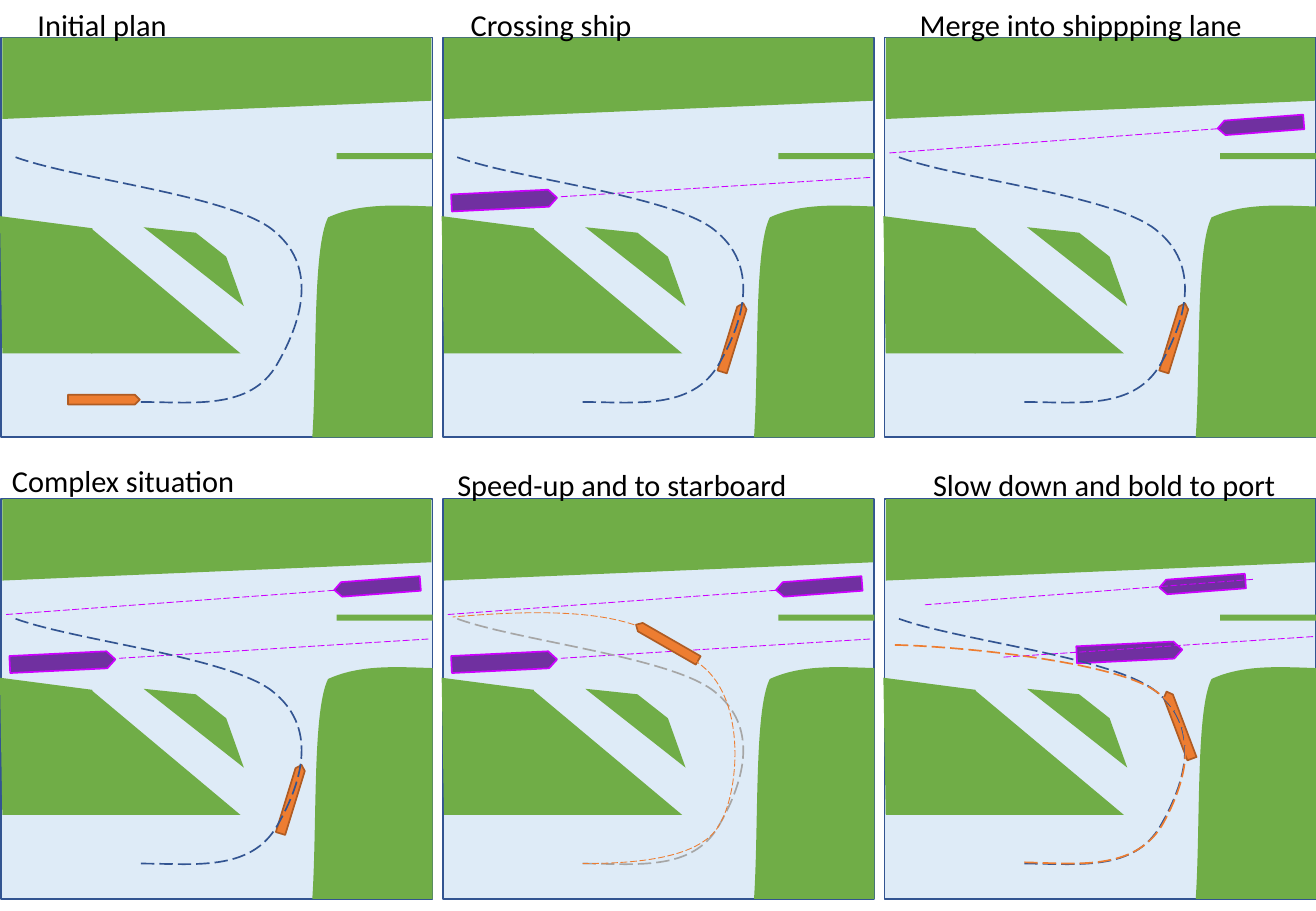
from dataclasses import dataclass

from lxml.etree import SubElement
from pptx import Presentation
from pptx.dml.color import RGBColor
from pptx.enum.dml import MSO_LINE
from pptx.enum.shapes import MSO_CONNECTOR, MSO_SHAPE
from pptx.enum.text import MSO_AUTO_SIZE
from pptx.oxml.ns import qn
from pptx.util import Inches, Pt


@dataclass(frozen=True)
class Theme:
    font: str = "Calibri"
    caption_size: float = 18
    text: str = "000000"
    water: str = "DEEBF7"
    land: str = "70AD47"
    navy: str = "325491"
    faded: str = "A6A6A6"
    own_ship: str = "ED7D31"
    own_edge: str = "AF5C24"
    traffic: str = "7030A0"
    traffic_edge: str = "CC00FF"
    thin: float = 0.5
    normal: float = 1


THEME = Theme()
COLUMN_PITCH = 7.27 / 2
ROW_PITCH = 3.8

WEST_BANK = [(0, 1.78), (0.76, 1.88), (0.76, 2.91), (0.02, 2.91), (0, 1.78)]
NORTH_BANK = [(0.02, 0.31), (3.55, 0.31), (3.55, 0.83), (0.02, 0.98), (0.02, 0.31)]
EAST_BANK = [
    ("moveTo", [(2.7, 1.79)]),
    ("cubicBezTo", [(2.96, 1.67), (3.26, 1.69), (3.56, 1.7)]),
    ("lnTo", [(3.56, 3.6)]),
    ("lnTo", [(2.57, 3.6)]),
    ("cubicBezTo", [(2.61, 2.99), (2.57, 2.05), (2.7, 1.79)]),
    ("close", []),
]
EAST_BANK_BOUNDS = ((2.57, 1.69), (3.56, 3.6))

PLAN = [(1.16, 3.31), (1.59, 3.31), (2.06, 3.38), (2.28, 3), (2.5, 2.62),
        (2.61, 2.18), (2.24, 1.89), (1.87, 1.6), (0.56, 1.47), (0.09, 1.28)]
STARBOARD = [(1.16, 3.31), (1.59, 3.31), (2.12, 3.27), (2.28, 3), (2.45, 2.73),
             (2.51, 1.97), (2.14, 1.68), (1.78, 1.4), (1.55, 1.15), (0.09, 1.28)]
PORT = [(1.16, 3.3), (1.59, 3.31), (2.06, 3.37), (2.29, 3), (2.51, 2.62),
        (2.61, 2.14), (2.24, 1.89), (1.88, 1.64), (0.59, 1.52), (0.09, 1.51)]
PLAN_BOUNDS = ((0.09, 1.28), (2.48, 3.31))

PLANNED = (PLAN, PLAN_BOUNDS, THEME.navy, THEME.normal)
DISCARDED = (PLAN, PLAN_BOUNDS, THEME.faded, THEME.normal)
STARBOARD_TRACK = (STARBOARD, ((0.09, 1.25), (2.41, 3.31)), THEME.own_ship, THEME.thin)
PORT_TRACK = (PORT, ((0.09, 1.51), (2.48, 3.31)), THEME.own_ship, THEME.normal)

EASTBOUND = ((0.08, 1.58, 0.87, 0.14), 357.2, ((0.98, 1.62), (3.54, 1.46)))
WESTBOUND = ((2.75, 0.97, 0.71, 0.12), 175.7, ((2.75, 1.06), (0.04, 1.26)))
EASTBOUND_LATER = ((1.59, 1.5, 0.87, 0.14), 357.2, ((0.99, 1.61), (3.55, 1.44)))
WESTBOUND_LATER = ((2.27, 0.95, 0.71, 0.12), 175.7, ((3.04, 0.97), (0.33, 1.18)))
TURNING = (2.1, 2.74, 287.1)

SCENES = [
    ("Initial plan", (0.21, 0, 3.22), (0.56, 3.25, 0), [], [PLANNED]),
    ("Crossing ship", (0.14, 0, 3.22), TURNING, [EASTBOUND], [PLANNED]),
    ("Merge into shippping lane", (0.2, 0, 3.25), TURNING, [WESTBOUND], [PLANNED]),
    ("Complex situation", (0, -0.04, 3.72), TURNING, [WESTBOUND, EASTBOUND], [PLANNED]),
    ("Speed-up and to starboard", (0.03, -0.01, 3.72), (1.56, 1.45, 209.9),
     [WESTBOUND, EASTBOUND], [DISCARDED, STARBOARD_TRACK]),
    ("Slow down and bold to port", (0.31, -0.01, 3.25), (2.14, 2.13, 249.3),
     [WESTBOUND_LATER, EASTBOUND_LATER], [PLANNED, PORT_TRACK]),
]


class HarbourPage:
    def __init__(self, page, theme):
        self.page = page
        self.theme = theme
        self.left = self.top = 0

    def place(self, x, y):
        return Inches(self.left + x), Inches(self.top + y)

    def stroke(self, line, color, weight, dashed=False):
        line.color.rgb = RGBColor.from_string(color)
        line.width = Pt(weight)
        if dashed:
            line.dash_style = MSO_LINE.LONG_DASH

    def paint(self, shape, fill, edge=None):
        shape.shadow.inherit = False
        shape.fill.solid()
        shape.fill.fore_color.rgb = RGBColor.from_string(fill)
        if edge:
            self.stroke(shape.line, edge, self.theme.normal)
        else:
            shape.line.fill.background()

    def block(self, shapes, kind, area, fill, edge=None, rotation=0):
        x, y, width, height = area
        shape = shapes.add_shape(kind, *self.place(x, y), Inches(width), Inches(height))
        shape.rotation = rotation
        self.paint(shape, fill, edge)
        return shape

    def outline(self, shapes, points):
        start, *rest = [self.place(x, y) for x, y in points]
        builder = shapes.build_freeform(*start)
        builder.add_line_segments(rest, close=points[0] == points[-1])
        return builder.convert_to_shape()

    def curved_outline(self, shapes, bounds, segments):
        shape = self.outline(shapes, bounds)
        drawing = shape._element.spPr.find(".//" + qn("a:path"))
        for child in list(drawing):
            drawing.remove(child)
        left, top = bounds[0]
        for command, points in segments:
            segment = SubElement(drawing, qn("a:" + command))
            for x, y in points:
                SubElement(segment, qn("a:pt"), x=str(Inches(x - left)), y=str(Inches(y - top)))
        return shape

    def basin(self):
        theme = self.theme
        shapes = self.page.shapes.add_group_shape().shapes
        self.block(shapes, MSO_SHAPE.RECTANGLE, (0.01, 0.31, 3.55, 3.29), theme.water, theme.navy)
        self.block(shapes, MSO_SHAPE.RIGHT_TRIANGLE, (0.75, 1.88, 1.23, 1.03), theme.land)
        self.paint(self.outline(shapes, WEST_BANK), theme.land)
        island = self.block(shapes, MSO_SHAPE.TRAPEZOID, (1.14, 1.99, 1.05, 0.23),
                            theme.land, rotation=38.2)
        island.adjustments[0] = 1.59
        self.paint(self.curved_outline(shapes, EAST_BANK_BOUNDS, EAST_BANK), theme.land)
        self.paint(self.outline(shapes, NORTH_BANK), theme.land)
        self.block(shapes, MSO_SHAPE.RECTANGLE, (2.77, 1.26, 0.79, 0.05), theme.land)

    def ship(self, area, rotation, fill, edge):
        self.block(self.page.shapes, MSO_SHAPE.PENTAGON, area, fill, edge, rotation)

    def course(self, start, end):
        line = self.page.shapes.add_connector(
            MSO_CONNECTOR.STRAIGHT, *self.place(*start), *self.place(*end))
        self.stroke(line.line, self.theme.traffic_edge, self.theme.thin, True)
        SubElement(line._element.spPr, qn("a:effectLst"))

    def track(self, points, bounds, color, weight):
        segments = [("moveTo", points[:1])]
        segments += [("cubicBezTo", points[k:k + 3]) for k in range(1, len(points), 3)]
        shape = self.curved_outline(self.page.shapes, bounds, segments)
        shape.shadow.inherit = False
        shape.fill.background()
        self.stroke(shape.line, color, weight, True)

    def caption(self, text, x, y, width):
        box = self.page.shapes.add_textbox(*self.place(x, y), Inches(width), Inches(0.4))
        frame = box.text_frame
        frame.word_wrap = True
        frame.auto_size = MSO_AUTO_SIZE.SHAPE_TO_FIT_TEXT
        para = frame.paragraphs[0]
        para.text = text
        para.font.name = self.theme.font
        para.font.size = Pt(self.theme.caption_size)
        para.font.color.rgb = RGBColor.from_string(self.theme.text)

    def scene(self, index, text, text_area, own_ship, traffic, tracks):
        theme = self.theme
        row, column = divmod(index, 3)
        self.left, self.top = column * COLUMN_PITCH, row * ROW_PITCH
        self.basin()
        for area, rotation, course in traffic:
            self.ship(area, rotation, theme.traffic, theme.traffic_edge)
            self.course(*course)
        x, y, rotation = own_ship
        self.ship((x, y, 0.59, 0.08), rotation, theme.own_ship, theme.own_edge)
        for track in tracks:
            self.track(*track)
        self.caption(text, *text_area)


def main():
    deck = Presentation()
    deck.slide_width, deck.slide_height = Inches(10.83), Inches(7.5)
    page = HarbourPage(deck.slides.add_slide(deck.slide_layouts[6]), THEME)
    for index, scene in enumerate(SCENES):
        page.scene(index, *scene)
    deck.save("out.pptx")


if __name__ == "__main__":
    main()
